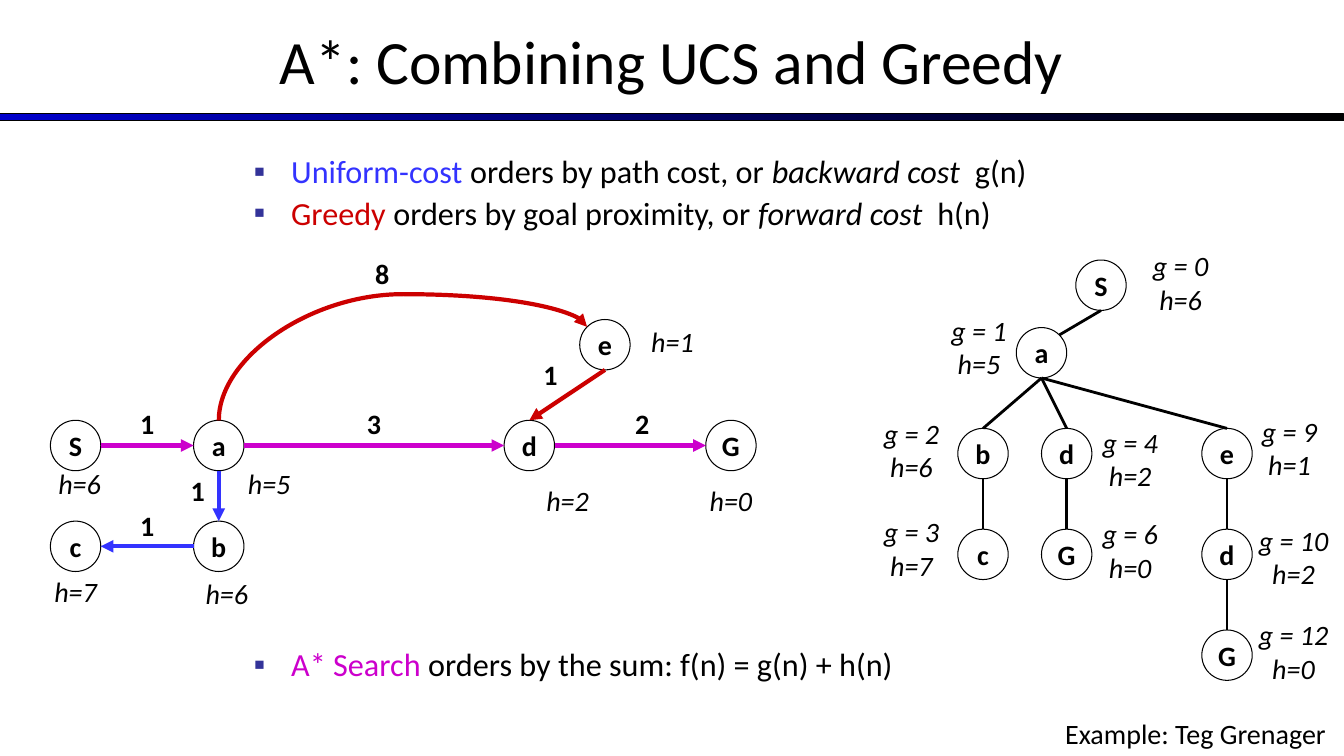
from lxml import etree
from pptx import Presentation
from pptx.dml.color import RGBColor
from pptx.enum.shapes import MSO_CONNECTOR, MSO_SHAPE
from pptx.enum.text import MSO_ANCHOR, PP_ALIGN
from pptx.oxml.ns import qn
from pptx.util import Inches, Pt

LINE, CURVE = MSO_CONNECTOR.STRAIGHT, MSO_CONNECTOR.CURVE
RECT, OVAL = MSO_SHAPE.RECTANGLE, MSO_SHAPE.OVAL
MIDDLE = MSO_ANCHOR.MIDDLE
LEFT, CENTER, RIGHT = PP_ALIGN.LEFT, PP_ALIGN.CENTER, PP_ALIGN.RIGHT

FONT = "Calibri"
BLACK, WHITE = "000000", "FFFFFF"
BLUE, RED, PURPLE, NAVY = "3333FF", "CC0000", "CC00CC", "333399"
RADIUS = 0.25
UP, DOWN, WEST, EAST = (0, -1), (0, 1), (-1, 0), (1, 0)
UP_EAST, UP_WEST = (0.71, -0.71), (-0.71, -0.71)


def color(code):
    return RGBColor.from_string(code)


def style(run, size, code=BLACK, bold=False, italic=False):
    font = run.font
    font.name, font.size = FONT, Pt(size)
    font.bold, font.italic = bold, italic
    font.color.rgb = color(code)


def add_text(slide, text, box, size=20, align=CENTER, bold=False, italic=False):
    frame = slide.shapes.add_textbox(*map(Inches, box)).text_frame
    frame.word_wrap = True
    frame.text = text
    para = frame.paragraphs[0]
    para.alignment = align
    style(para.runs[0], size, bold=bold, italic=italic)
    return frame


def add_label(slide, text, x, y, width, **look):
    """Place a label centred on x with its top at y."""
    add_text(slide, text, (x - width / 2, y, width, 0.43), **look)


def add_node(slide, name, x, y):
    """Draw a circle centred on x, y."""
    box = (x - RADIUS, y - RADIUS, 2 * RADIUS, 2 * RADIUS)
    node = slide.shapes.add_shape(OVAL, *map(Inches, box))
    node.shadow.inherit = False
    node.fill.solid()
    node.fill.fore_color.rgb = color(WHITE)
    node.line.color.rgb = color(BLACK)
    node.line.width = Pt(0.75)
    frame = node.text_frame
    frame.word_wrap = False
    frame.vertical_anchor = MIDDLE
    frame.text = name
    frame.paragraphs[0].alignment = CENTER
    style(frame.paragraphs[0].runs[0], 20, bold=True)


def port(center, side):
    return tuple(c + RADIUS * s for c, s in zip(center, side))


def add_link(slide, start, end, code, width, arrow=False, kind=LINE):
    link = slide.shapes.add_connector(kind, *map(Inches, start + end))
    link.line.color.rgb = color(code)
    link.line.width = Pt(width)
    if arrow:
        etree.SubElement(link.line._get_or_add_ln(), qn("a:tailEnd"), type="triangle")
    etree.SubElement(link._element.spPr, qn("a:effectLst"))
    return link


def add_arc(slide, start, end, code, width, bend):
    """Draw a curved arrow that leaves start upwards and overshoots end."""
    wide, high = end[0] - start[0], start[1] - end[1]
    x, y = (start[0] + end[0]) / 2, (start[1] + end[1]) / 2
    corner = (x - high / 2, y - wide / 2)
    far = (x + high / 2, y + wide / 2)
    arc = add_link(slide, corner, far, code, width, True, CURVE)
    props = arc._element.spPr
    props.find(qn("a:xfrm")).set("rot", str(270 * 60000))
    guides = props.find(qn("a:prstGeom")).find(qn("a:avLst"))
    etree.SubElement(guides, qn("a:gd"), name="adj1", fmla=f"val {round(bend * 100000)}")


def header(slide, width):
    frame = add_text(slide, "A*: Combining UCS and Greedy", (0, -0.03, width, 1.25), 44)
    frame.vertical_anchor = MIDDLE
    bar = slide.shapes.add_shape(RECT, *map(Inches, (0, 1.13, width, 0.07)))
    bar.shadow.inherit = False
    bar.fill.gradient()
    bar.fill.gradient_angle = 0
    for stop, code, place in zip(bar.fill.gradient_stops, ("0000CC", BLACK), (0, 1)):
        stop.color.rgb = color(code)
        stop.position = place
    bar.line.color.rgb = color(BLACK)
    bar.line.width = Pt(0.75)


def bullets(slide, box, items):
    """Write bulleted lines, each a list of (text, colour, italic)."""
    frame = slide.shapes.add_textbox(*map(Inches, box)).text_frame
    frame.word_wrap = True
    for i, parts in enumerate(items):
        para = frame.add_paragraph() if i else frame.paragraphs[0]
        para.alignment = LEFT
        para.line_spacing = 0.9
        if i:
            para.space_before = Pt(4.6)
        props = para._p.get_or_add_pPr()
        props.set("marL", str(Inches(0.37)))
        props.set("indent", str(-Inches(0.37)))
        tint = etree.SubElement(props, qn("a:buClr"))
        etree.SubElement(tint, qn("a:srgbClr"), val=NAVY)
        etree.SubElement(props, qn("a:buFont"), typeface="Wingdings")
        etree.SubElement(props, qn("a:buChar"), char="▪")
        props.find(qn("a:buFont")).set("typeface", FONT)
        for text, code, italic in parts:
            run = para.add_run()
            run.text = text
            style(run, 23, code, italic=italic)


def graph(slide, left, top):
    """Draw the weighted state graph with its heuristics."""
    # name: centre, heuristic, label centre and top
    states = {
        "S": ((0.25, 1.92), "h=6", (0.29, 2.08)),
        "a": ((1.67, 1.92), "h=5", (2.17, 2.08)),
        "d": ((4.75, 1.92), "h=2", (5.13, 2.25)),
        "G": ((6.75, 1.92), "h=0", (6.75, 2.25)),
        "e": ((5.5, 0.92), "h=1", (6.17, 0.67)),
        "b": ((1.67, 2.92), "h=6", (1.75, 3.17)),
        "c": ((0.25, 2.92), "h=7", (0.25, 3.15)),
    }
    edges = [
        ("S", EAST, "a", WEST, PURPLE, "1", (0.96, 1.48)),
        ("a", EAST, "d", WEST, PURPLE, "3", (3.21, 1.48)),
        ("d", EAST, "G", WEST, PURPLE, "2", (5.87, 1.48)),
        ("a", DOWN, "b", UP, BLUE, "1", (1.46, 2.15)),
        ("b", WEST, "c", EAST, BLUE, "1", (0.96, 2.5)),
        ("e", DOWN, "d", UP, RED, "1", (4.96, 1)),
        ("a", UP, "e", UP_WEST, RED, "8", (3.29, 0)),
    ]
    spots = {}
    for name, ((x, y), cost, (lx, ly)) in states.items():
        spots[name] = (left + x, top + y)
        add_node(slide, name, *spots[name])
        add_label(slide, cost, left + lx, top + ly, 0.83, italic=True)
    for tail, out, head, into, code, cost, (x, y) in edges:
        start, end = port(spots[tail], out), port(spots[head], into)
        if into == UP_WEST:
            add_arc(slide, start, end, code, 3, 1.35)
        else:
            add_link(slide, start, end, code, 3, True)
        add_label(slide, cost, left + x, top + y, 0.58, bold=True)


def tree(slide, left, top):
    """Draw the search tree; the last letter of a key is the state."""
    # key: centre, parent, costs, label centre and top
    nodes = {
        "S": ((2.34, 0.41), None, "g = 0 h=6", (3.13, 0)),
        "Sa": ((1.75, 1.08), "S", "g = 1 h=5", (1.13, 0.64)),
        "Sab": ((1.17, 2.08), "Sa", "g = 2 h=6", (0.46, 1.66)),
        "Sad": ((2, 2.08), "Sa", "g = 4 h=2", (2.63, 1.75)),
        "Sae": ((3.59, 2.08), "Sa", "g = 9 h=1", (4.21, 1.64)),
        "Sabc": ((1.17, 3.08), "Sab", "g = 3 h=7", (0.46, 2.64)),
        "SadG": ((2, 3.08), "Sad", "g = 6 h=0", (2.63, 2.66)),
        "Saed": ((3.59, 3.08), "Sae", "g = 10 h=2", (4.25, 2.72)),
        "SaedG": ((3.59, 4.08), "Saed", "g = 12 h=0", (4.25, 3.66)),
    }
    spots = {}
    for key, ((x, y), above, costs, (lx, ly)) in nodes.items():
        spots[key] = (left + x, top + y)
        add_node(slide, key[-1], *spots[key])
        if above:
            side = UP_EAST if above == "S" else UP
            add_link(slide, port(spots[above], DOWN), port(spots[key], side), BLACK, 2)
        add_label(slide, costs, left + lx, top + ly, 1, italic=True)


def main():
    deck = Presentation()
    deck.slide_width, deck.slide_height = Inches(13.33), Inches(7.5)
    slide = deck.slides.add_slide(deck.slide_layouts[6])
    header(slide, 13.33)
    bullets(slide, (2.42, 1.5, 9, 0.9), [
        [("Uniform-cost ", BLUE, False), ("orders by path cost, or ", BLACK, False),
         ("backward cost  ", BLACK, True), ("g(n)", BLACK, False)],
        [("Greedy ", RED, False), ("orders by goal proximity, or ", BLACK, False),
         ("forward cost  ", BLACK, True), ("h(n)", BLACK, False)],
    ])
    bullets(slide, (2.42, 6.39, 9, 0.5), [
        [("A* Search", PURPLE, False),
         (" orders by the sum: f(n) = g(n) + h(n)", BLACK, False)],
    ])
    graph(slide, 0.5, 2.5)
    tree(slide, 8.58, 2.42)
    add_text(slide, "Example: Teg Grenager", (10.17, 7.06, 3.08, 0.44), align=RIGHT)
    deck.save("out.pptx")


if __name__ == "__main__":
    main()
